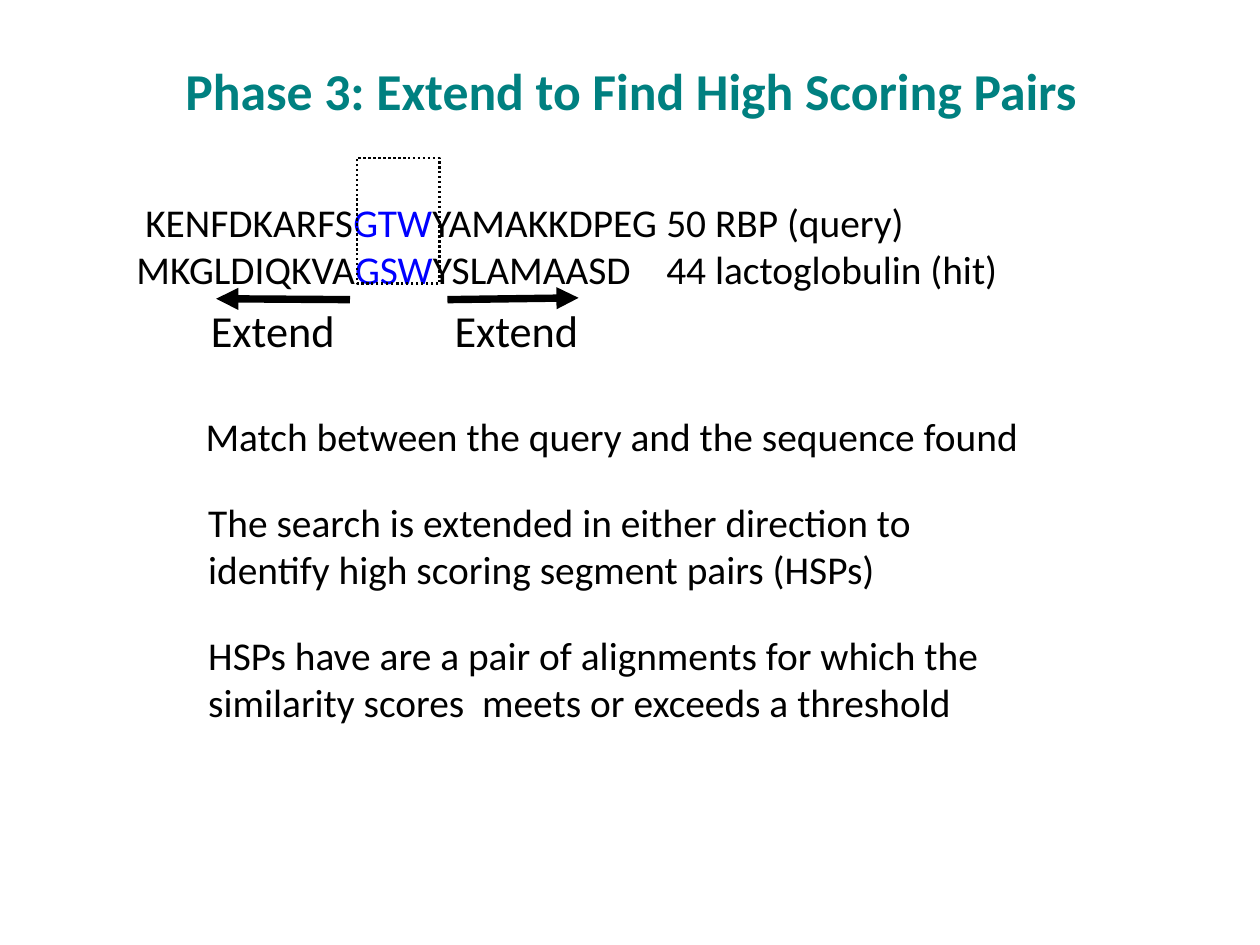
"""Build the slide on extending a match to high scoring pairs."""
from lxml.etree import SubElement
from pptx import Presentation
from pptx.dml.color import RGBColor
from pptx.enum.dml import MSO_LINE
from pptx.enum.shapes import MSO_CONNECTOR, MSO_SHAPE
from pptx.enum.text import MSO_ANCHOR, PP_ALIGN
from pptx.oxml.ns import qn
from pptx.util import Inches, Pt

COLORS = {"ink": "000000", "title": "008080", "seed": "0000FF"}


class SlideWriter:
    """Hold the slide and its style, and draw each kind of element."""

    def __init__(self, slide, font="Calibri", size=32):
        self.shapes = slide.shapes
        self.font = font
        self.size = size

    def style(self, run, color="ink", size=None, bold=False):
        run.font.name = self.font
        run.font.size = Pt(size or self.size)
        run.font.bold = bold
        run.font.color.rgb = RGBColor.from_string(COLORS[color])

    def frame(self, box):
        frame = self.shapes.add_textbox(*map(Inches, box)).text_frame
        frame.word_wrap = True
        frame.vertical_anchor = MSO_ANCHOR.TOP
        frame.margin_left = frame.margin_top = frame.margin_bottom = Inches(0.06)
        frame.margin_right = Inches(0.12)
        return frame

    def text(self, wording, box, align=PP_ALIGN.LEFT, **style):
        frame = self.frame(box)
        frame.text = wording
        paragraph = frame.paragraphs[0]
        paragraph.alignment = align
        self.style(paragraph.runs[0], **style)

    def alignment(self, rows, box, label_stop):
        frame = self.frame(box)
        for index, (before, seed, after, label) in enumerate(rows):
            row = frame.paragraphs[0] if index == 0 else frame.add_paragraph()
            for part, color in ((before, "ink"), (seed, "seed"), (f"{after}\t{label}", "ink")):
                run = row.add_run()
                run.text = part
                self.style(run, color)
            stops = SubElement(row._p.get_or_add_pPr(), qn("a:tabLst"))
            SubElement(stops, qn("a:tab"), pos=str(Inches(label_stop)), algn="l")

    def dotted_box(self, box):
        outline = self.shapes.add_shape(MSO_SHAPE.RECTANGLE, *map(Inches, box))
        outline.shadow.inherit = False
        outline.fill.background()
        outline.line.color.rgb = RGBColor.from_string(COLORS["ink"])
        outline.line.width = Pt(2)
        outline.line.dash_style = MSO_LINE.ROUND_DOT

    def arrow(self, start, end):
        arrow = self.shapes.add_connector(MSO_CONNECTOR.STRAIGHT, *map(Inches, start + end))
        arrow.line.color.rgb = RGBColor.from_string(COLORS["ink"])
        arrow.line.width = Pt(6)
        SubElement(arrow.line._get_or_add_ln(), qn("a:tailEnd"), type="triangle")
        SubElement(arrow._element.spPr, qn("a:effectLst"))


deck = Presentation()
deck.slide_width, deck.slide_height = Inches(14.22), Inches(10.66)
writer = SlideWriter(deck.slides.add_slide(deck.slide_layouts[6]))

writer.alignment(
    [
        (" KENFDKARFS", "GTW", "YAMAKKDPEG", "50 RBP (query)"),
        ("MKGLDIQKVA", "GSW", "YSLAMAASD", "44 lactoglobulin (hit)"),
    ],
    (1.48, 2.17, 11.24, 1.74),
    label_stop=5.98,
)
writer.text("Phase 3: Extend to Find High Scoring Pairs", (1.03, 0.6, 12.25, 0.99),
            PP_ALIGN.CENTER, color="title", size=42, bold=True)

explanations = [
    ("Match between the query and the sequence found", (2.26, 4.59, 9.49, 0.64)),
    ("The search is extended in either direction to identify high scoring "
     "segment pairs (HSPs)", (2.29, 5.56, 9.42, 1.19)),
    ("HSPs have are a pair of alignments for which the similarity scores  "
     "meets or exceeds a threshold", (2.29, 7.06, 9.42, 1.19)),
]
for explanation, box in explanations:
    writer.text(explanation, box)

writer.dotted_box((4.03, 1.78, 0.93, 1.42))
directions = [
    ((3.95, 3.38), (2.44, 3.37), 2.32),
    ((5.05, 3.38), (6.53, 3.36), 5.07),
]
for seed_edge, tip, label_left in directions:
    writer.arrow(seed_edge, tip)
    writer.text("Extend", (label_left, 3.36, 1.8, 0.71), size=36)

deck.save("out.pptx")
